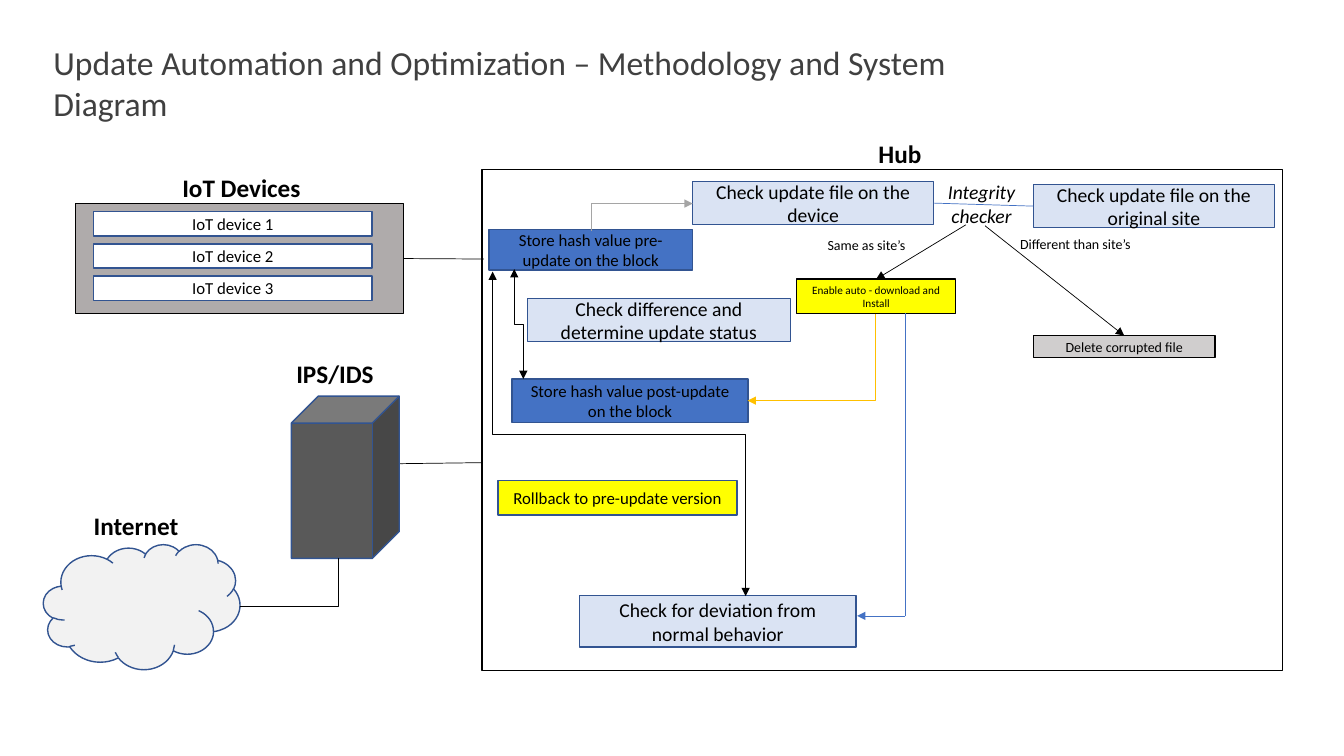
from lxml import etree
from pptx import Presentation
from pptx.dml.color import RGBColor
from pptx.enum.shapes import MSO_CONNECTOR, MSO_SHAPE
from pptx.enum.text import MSO_ANCHOR, PP_ALIGN
from pptx.oxml.ns import qn
from pptx.util import Inches, Pt

RECT, CUBE, CLOUD = MSO_SHAPE.RECTANGLE, MSO_SHAPE.CUBE, MSO_SHAPE.CLOUD
STRAIGHT, ELBOW = MSO_CONNECTOR.STRAIGHT, MSO_CONNECTOR.ELBOW
LEFT, CENTER = PP_ALIGN.LEFT, PP_ALIGN.CENTER
TOP, MIDDLE = MSO_ANCHOR.TOP, MSO_ANCHOR.MIDDLE

BLACK = RGBColor(0x00, 0x00, 0x00)
WHITE = RGBColor(0xFF, 0xFF, 0xFF)
INK = RGBColor(0x40, 0x40, 0x40)
NAVY = RGBColor(0x32, 0x54, 0x91)
BLUE = RGBColor(0x44, 0x72, 0xC4)
PALE = RGBColor(0xDA, 0xE3, 0xF3)
YELLOW = RGBColor(0xFF, 0xFF, 0x00)
GOLD = RGBColor(0xFF, 0xC0, 0x00)
STEEL = RGBColor(0xAF, 0xAB, 0xAB)
SILVER = RGBColor(0xD0, 0xCE, 0xCE)
GRAY = RGBColor(0xA5, 0xA5, 0xA5)
DARK = RGBColor(0x59, 0x59, 0x59)
MIST = RGBColor(0xF2, 0xF2, 0xF2)

# The grid has square cells, ten to the inch; all places are in cells.
CELL = Inches(0.1)
COLS, ROWS = 133.3, 75

TITLE = "Update Automation and Optimization – Methodology and System Diagram"
TITLE_AT = (4.3, 3.7, 98.3, 9.1)

# name: (shape, place, fill, outline, text, size)
BOXES = {
    "devices": (RECT, (7.5, 20.2, 32.5, 10.9), STEEL, BLACK, "", 12),
    "hub": (RECT, (47.8, 16.8, 79.4, 49.7), WHITE, BLACK, "", 12),
    "file": (RECT, (68.7, 18, 23.9, 4.3), PALE, NAVY,
             "Check update file on the device", 14),
    "site": (RECT, (102.5, 18.3, 23.9, 4.3), PALE, NAVY,
             "Check update file on the original site", 14),
    "install": (RECT, (79, 27.7, 15.8, 3.4), YELLOW, BLACK,
                "Enable auto - download and Install", 8),
    "delete": (RECT, (102.5, 33.3, 18, 2.2), SILVER, BLACK,
               "Delete corrupted file", 10),
    "post": (RECT, (50.8, 37.6, 23.4, 4.3), BLUE, NAVY,
             "Store hash value post-update on the block", 12),
    "pre": (RECT, (48.5, 22.8, 20.2, 4), BLUE, NAVY,
            "Store hash value pre-update on the block", 12),
    "status": (RECT, (52.3, 29.6, 26.1, 4.3), PALE, NAVY,
               "Check difference and determine update status", 14),
    "normal": (RECT, (57.5, 59.1, 27.4, 5.1), PALE, NAVY,
               "Check for deviation from normal behavior", 14),
    "rollback": (RECT, (49.4, 47.7, 23.7, 3.4), YELLOW, NAVY,
                 "Rollback to pre-update version", 12),
    "internet": (CLOUD, (4.3, 54, 19.5, 12.4), MIST, NAVY, "", 12),
    "ids": (CUBE, (28.9, 39.3, 10.7, 16.1), DARK, NAVY, "", 12),
}
DEVICES = ["IoT device 1", "IoT device 2", "IoT device 3"]
FIRST, PITCH = (9.3, 21, 27.6, 2.4), 3.2

HEAD = {"size": Pt(18), "bold": True}
NOTE = {"size": Pt(10)}
LABELS = [
    ("IoT Devices", (14.1, 16.6, 19.7, 4), CENTER, HEAD),
    ("Hub", (78.4, 13.2, 21.7, 4), CENTER, HEAD),
    ("IPS/IDS", (28.4, 35.1, 11.8, 7.1), LEFT, HEAD),
    ("Internet", (8.3, 50.1, 13, 4), LEFT, HEAD),
    ("Integrity checker", (90.3, 17.4, 14.1, 5.7), CENTER,
     {"size": Pt(14), "italic": True}),
    ("Same as site’s", (81.1, 23, 11.4, 2.7), LEFT, NOTE),
    ("Different than site’s", (100.2, 22.9, 15.4, 2.7), LEFT, NOTE),
]

# An end is a point, or a box name with the number of its side.
LINES = [
    (("devices", 3), (48, 25.7), BLACK, ""),
    (("file", 3), ("site", 1), BLUE, ""),
    ((95.8, 22.3), ("install", 0), BLACK, "tail"),
    ((97.7, 22.4), ("delete", 0), BLACK, "tail"),
    ((39.7, 46), (47.8, 45.9), BLACK, ""),
    ((89.8, 61.1), (85, 61.1), BLUE, "tail"),
    ((89.8, 61.1), (89.8, 31.1), BLUE, ""),
]
# (kind, start, end, turn in degrees, colour, arrowheads), before the turn
BENDS = [
    ("bentConnector2", (76.2, 29.1), (84.8, 41.8), 90, GOLD, "tail"),
    ("bentConnector2", (65, 26.6), (62.3, 16.5), 90, GRAY, "tail"),
    ("bentConnector3", (56.9, 31.7), (46, 32.6), 270, BLACK, "head tail"),
    ("bentConnector3", (77.5, 30.5), (45.3, 55.6), 270, BLACK, "head tail"),
    ("bentConnector2", (23.8, 60.2), (33.6, 55.4), 0, BLACK, ""),
]


def cells(place):
    return [round(n * CELL) for n in place]


def style(target, form):
    for key, value in form.items():
        setattr(target, key, value)


def write(shape, text, align, anchor, form):
    frame = shape.text_frame
    style(frame, {"text": text, "word_wrap": True, "vertical_anchor": anchor})
    para = frame.paragraphs[0]
    para.alignment = align
    style(para.font, {"name": "Calibri", **form})
    para.font.color.rgb = form_color = INK if text == TITLE else BLACK
    return form_color


def add_box(slide, kind, place, fill, edge, text, size):
    box = slide.shapes.add_shape(kind, *cells(place))
    box.shadow.inherit = False
    box.fill.solid()
    box.fill.fore_color.rgb = fill
    box.line.color.rgb = edge
    box.line.width = Pt(1)
    if text:
        write(box, text, CENTER, MIDDLE, {"size": Pt(size)})
    return box


def add_line(slide, kind, start, end, color, heads):
    line = slide.shapes.add_connector(kind, *cells(start + end))
    line.line.color.rgb = color
    line.line.width = Pt(0.5)
    props = line._element.spPr
    for head in heads.split():
        etree.SubElement(props.find(qn("a:ln")), qn(f"a:{head}End"),
                         type="triangle")
    etree.SubElement(props, qn("a:effectLst"))
    return line


def main():
    deck = Presentation()
    deck.slide_width, deck.slide_height = cells((COLS, ROWS))
    slide = deck.slides.add_slide(deck.slide_layouts[5])

    title = slide.shapes.title
    style(title, dict(zip(("left", "top", "width", "height"),
                          cells(TITLE_AT))))
    write(title, TITLE, LEFT, TOP, {"size": Pt(24)})

    boxes = {name: add_box(slide, *row) for name, row in BOXES.items()}
    left, top, width, height = FIRST
    for i, text in enumerate(DEVICES):
        place = (left, top + i * PITCH, width, height)
        add_box(slide, RECT, place, WHITE, NAVY, text, 12)

    for start, end, color, heads in LINES:
        ends = [(0, 0) if isinstance(e[0], str) else e for e in (start, end)]
        line = add_line(slide, STRAIGHT, *ends, color, heads)
        joins = (line.begin_connect, line.end_connect)
        for join, spot in zip(joins, (start, end)):
            if isinstance(spot[0], str):
                join(boxes[spot[0]], spot[1])

    for kind, start, end, turn, color, heads in BENDS:
        props = add_line(slide, ELBOW, start, end, color, heads)._element.spPr
        props.find(qn("a:prstGeom")).set("prst", kind)
        props.find(qn("a:xfrm")).set("rot", str(turn * 60000))

    for text, place, align, form in LABELS:
        label = slide.shapes.add_textbox(*cells(place))
        write(label, text, align, TOP, form)

    deck.save("out.pptx")


if __name__ == "__main__":
    main()
